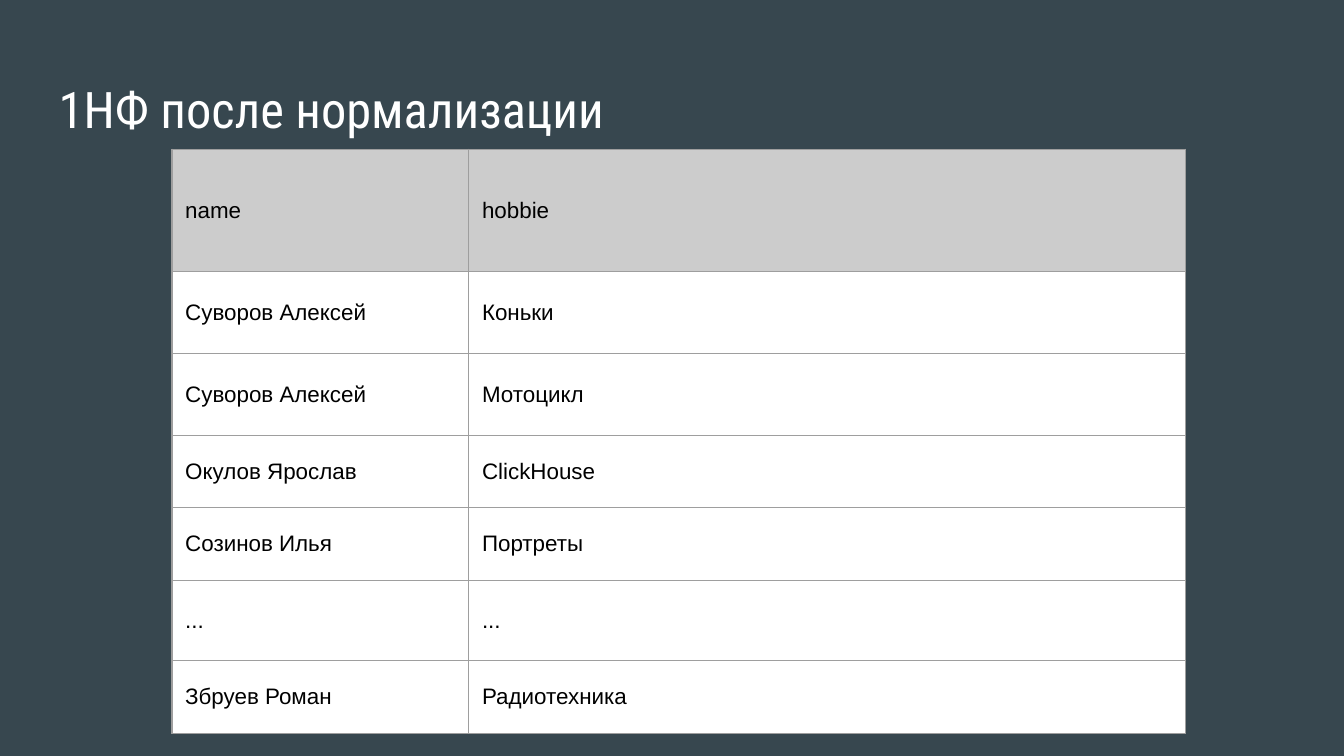
from dataclasses import dataclass

import pptx
import pptx.dml.color
import pptx.enum.text
import pptx.oxml
import pptx.oxml.ns
import pptx.util

Cm = pptx.util.Cm
Pt = pptx.util.Pt
RGBColor = pptx.dml.color.RGBColor

SLATE = RGBColor(0x37, 0x47, 0x4F)
WHITE = RGBColor(0xFF, 0xFF, 0xFF)
BLACK = RGBColor(0x00, 0x00, 0x00)
HEADER_GRAY = RGBColor(0xCC, 0xCC, 0xCC)
BORDER_GRAY = RGBColor(0x9E, 0x9E, 0x9E)
INSET = Cm(0.25)
COLUMN_WIDTHS = (Cm(5.61), Cm(13.54))


@dataclass(frozen=True)
class Row:
    name: str
    hobby: str
    height: pptx.util.Length
    fill: RGBColor = WHITE


ROWS = (
    Row("name", "hobbie", Cm(2.31), HEADER_GRAY),
    Row("Суворов Алексей", "Коньки", Cm(1.55)),
    Row("Суворов Алексей", "Мотоцикл", Cm(1.55)),
    Row("Окулов Ярослав", "ClickHouse", Cm(1.37)),
    Row("Созинов Илья", "Портреты", Cm(1.37)),
    Row("...", "...", Cm(1.52)),
    Row("Збруев Роман", "Радиотехника", Cm(1.37)),
)


def write_text(tf, text: str, *, size: float, font: str, color: RGBColor) -> None:
    p = tf.paragraphs[0]
    r = p.add_run()
    r.text = text
    r.font.size = Pt(size)
    r.font.name = font
    r.font.color.rgb = color


def set_margins(box) -> None:
    for side in ("left", "right", "top", "bottom"):
        setattr(box, f"margin_{side}", INSET)


def set_borders(cell, color: RGBColor, width: pptx.util.Length) -> None:
    tc_pr = cell._tc.get_or_add_tcPr()
    for i, side in enumerate("LRTB"):
        ln = pptx.oxml.parse_xml(
            f'<a:ln{side} {pptx.oxml.ns.nsdecls("a")} w="{int(width)}">'
            f'<a:solidFill><a:srgbClr val="{color}"/></a:solidFill>'
            f'</a:ln{side}>'
        )
        tc_pr.insert(i, ln)


def add_title(slide, text: str) -> None:
    sp = slide.shapes.add_textbox(Cm(0.86), Cm(1.24), Cm(23.67), Cm(1.6))
    tf = sp.text_frame
    tf.word_wrap = True
    tf.vertical_anchor = pptx.enum.text.MSO_ANCHOR.MIDDLE
    set_margins(tf)
    write_text(tf, text, size=27, font="Roboto Condensed", color=WHITE)


def add_hobby_table(slide, rows: tuple[Row, ...]) -> None:
    width = sum(COLUMN_WIDTHS)
    height = sum(row.height for row in rows)
    table = slide.shapes.add_table(
        len(rows), len(COLUMN_WIDTHS), Cm(3.25), Cm(2.82), width, height
    ).table
    table.horz_banding = False
    for column, column_width in zip(table.columns, COLUMN_WIDTHS):
        column.width = column_width
    for i, row in enumerate(rows):
        table.rows[i].height = row.height
        for j, text in enumerate((row.name, row.hobby)):
            cell = table.cell(i, j)
            cell.fill.solid()
            cell.fill.fore_color.rgb = row.fill
            cell.vertical_anchor = pptx.enum.text.MSO_ANCHOR.MIDDLE
            set_margins(cell)
            set_borders(cell, BORDER_GRAY, Pt(0.75))
            write_text(cell.text_frame, text, size=12, font="Arial", color=BLACK)
            cell.text_frame.paragraphs[0].runs[0].font.bold = False


def main() -> None:
    prs = pptx.Presentation()
    prs.slide_width = Cm(25.4)
    prs.slide_height = Cm(14.29)
    slide = prs.slides.add_slide(prs.slide_layouts[6])
    slide.background.fill.solid()
    slide.background.fill.fore_color.rgb = SLATE
    add_title(slide, "1НФ после нормализации")
    add_hobby_table(slide, ROWS)
    prs.save("out.pptx")


if __name__ == "__main__":
    main()
